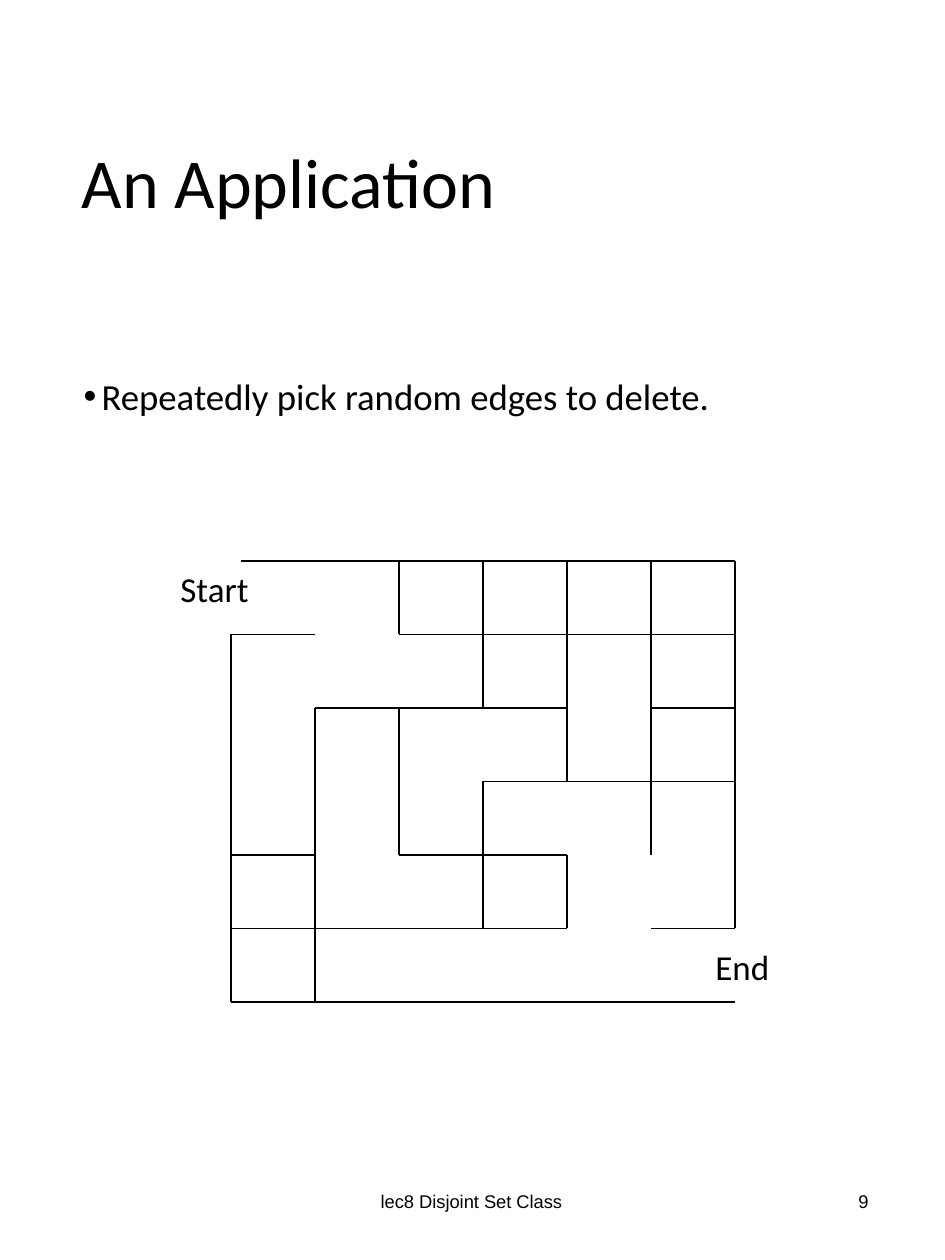
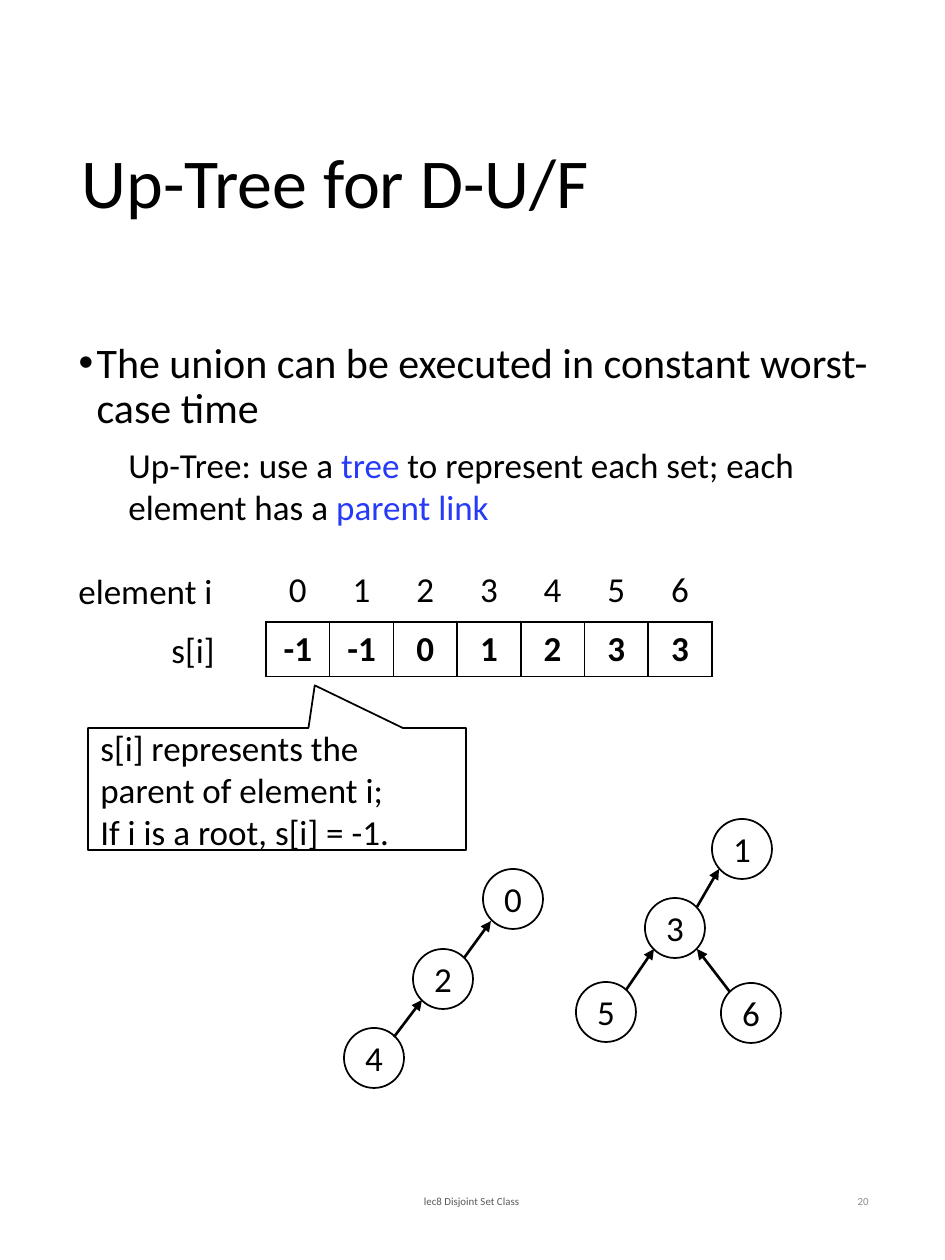
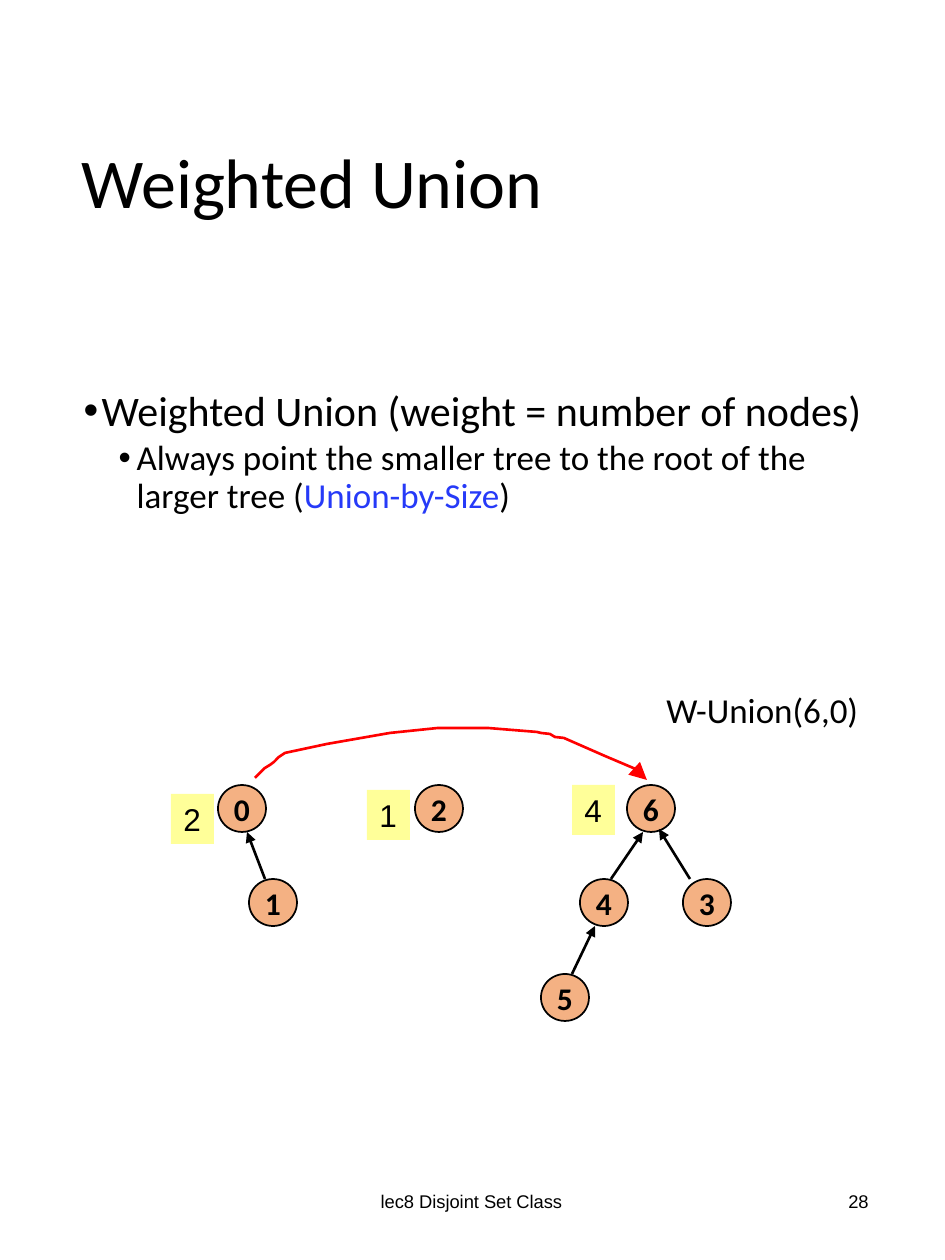
from lxml import etree
from pptx import Presentation
from pptx.dml.color import RGBColor
from pptx.enum import shapes, text
from pptx.oxml import ns
from pptx.util import Emu, Pt

PX = 914400 / 126
BLACK, WHITE, BLUE, RED = "000000", "FFFFFF", "263AF8", "FF0000"
ORANGE, YELLOW = "F4B183", "FFFF99"
TITLE_BOX = (69, 64, 815, 243)
FOOTER_BOX = (312, 1168, 319, 67)
NUMBER_BOX = (668, 1168, 213, 67)
LEFT, CENTER, RIGHT = (text.PP_ALIGN.LEFT, text.PP_ALIGN.CENTER,
                       text.PP_ALIGN.RIGHT)
TOP, MIDDLE = text.MSO_ANCHOR.TOP, text.MSO_ANCHOR.MIDDLE


def px(*lengths):
    return [Emu(round(length * PX)) for length in lengths]


def color(hex_value):
    return RGBColor.from_string(hex_value)


def add_xml(parent, tag, **attributes):
    return etree.SubElement(parent, ns.qn(tag), attributes)


def write(frame, content, size=20, font="Calibri", ink=BLACK, bold=False,
          align=LEFT, anchor=TOP, wrap=True, line=None, before=0, bullet=None,
          level=0):
    """Append one paragraph; content is a string or (string, ink) pairs."""
    paragraph = frame.add_paragraph() if frame.text else frame.paragraphs[0]
    frame.word_wrap = wrap
    frame.vertical_anchor = anchor
    paragraph.level = level
    paragraph.alignment = align
    paragraph.space_before = Pt(before)
    if line:
        paragraph.line_spacing = line
    if bullet is not None:
        properties = paragraph._p.get_or_add_pPr()
        hang = px(18)[0]
        properties.set("marL", str(px(bullet)[0]))
        properties.set("indent", str(-hang))
        add_xml(properties, "a:buFont", typeface="Arial")
        add_xml(properties, "a:buChar", char="•")
    pairs = [(content, ink)] if isinstance(content, str) else content
    for words, run_ink in pairs:
        run = paragraph.add_run()
        run.text = words
        run.font.size, run.font.name, run.font.bold = Pt(size), font, bold
        run.font.color.rgb = color(run_ink)


def add_label(slide, box, content, **style):
    label = slide.shapes.add_textbox(*px(*box))
    write(label.text_frame, content, **style)


def add_block(slide, kind, box, fill, outline=None):
    block = slide.shapes.add_shape(kind, *px(*box))
    block.shadow.inherit = False
    block.fill.solid()
    block.fill.fore_color.rgb = color(fill)
    if outline:
        block.line.color.rgb = color(outline)
        block.line.width = Pt(1)
    else:
        block.line.fill.background()
    return block


def add_arrowhead(shape, size="med"):
    add_xml(shape.line._get_or_add_ln(), "a:tailEnd", type="triangle",
            w=size, len=size)


def add_line(slide, start, end, width, arrow=False):
    connector = slide.shapes.add_connector(
        shapes.MSO_CONNECTOR.STRAIGHT, *px(*start, *end))
    connector.line.color.rgb = color(BLACK)
    connector.line.width = Pt(width)
    if arrow:
        add_arrowhead(connector)
    add_xml(connector._element.spPr, "a:effectLst")


def start_slide(deck, heading, number, body_box, **footer_style):
    """Add the title and footers, and return the slide and its body frame."""
    slide = deck.slides.add_slide(deck.slide_layouts[1])
    title, body = slide.placeholders
    for holder, box in ((title, TITLE_BOX), (body, body_box)):
        holder.left, holder.top, holder.width, holder.height = px(*box)
        holder.text_frame.auto_size = text.MSO_AUTO_SIZE.NONE
    write(title.text_frame, heading, size=40, anchor=MIDDLE, line=0.9)

    style = dict(size=10.5, font="Arial", anchor=MIDDLE) | footer_style
    number_ink = style.pop("number_ink", BLACK)
    add_label(slide, FOOTER_BOX, "lec8 Disjoint Set Class", align=CENTER,
              **style)
    add_label(slide, NUMBER_BOX, number, align=RIGHT,
              **style | {"ink": number_ink})
    return slide, body.text_frame


def draw_maze(slide, box):
    """Draw the remaining walls of a six by six grid; # marks a wall."""
    left, top, width, height = box
    across = [".#####", "#.####", ".###.#", "...###", "#.##..", "####.#",
              ".....#"]
    down = ["..#####", "...####", ".##.###", ".###.##", ".#.##.#", ".#....."]
    walls = [((c, r), (c + 1, r)) for r, row in enumerate(across)
             for c, mark in enumerate(row) if mark == "#"]
    walls += [((c, r), (c, r + 1)) for r, row in enumerate(down)
              for c, mark in enumerate(row) if mark == "#"]
    # Long outer walls and the short overlap beside the entrance
    walls += [((5, 6), (0, 6)), ((0, 6), (0, 1)), ((0.12, 0), (1.12, 0))]

    def corner(column, row):
        return left + column * width / 6, top + row * height / 6

    for start, end in walls:
        add_line(slide, corner(*start), corner(*end), 0.75)


def draw_array(slide, box, values, bold=False, border=None):
    """Draw one table row of values, with or without cell borders."""
    left, top, width, height = box
    table = slide.shapes.add_table(1, len(values), *px(*box)).table
    table.first_row = table.horz_banding = False
    table.rows[0].height = px(height)[0]
    for column, cell, value in zip(table.columns, table.rows[0].cells, values):
        column.width = px(width / len(values))[0]
        properties = cell._tc.get_or_add_tcPr()
        for side in ("L", "R", "T", "B"):
            edge = add_xml(properties, f"a:ln{side}", w=str(Pt(1)))
            if border:
                add_xml(add_xml(edge, "a:solidFill"), "a:srgbClr", val=border)
            else:
                add_xml(edge, "a:noFill")
        cell.fill.background()
        write(cell.text_frame, value, bold=bold, align=CENTER)


def draw_forest(slide, origin, node_size, nodes, links, fill, **style):
    """Draw numbered nodes and the arrows that lead to their parents."""
    left, top = origin
    for number, (x, y) in nodes.items():
        node = add_block(slide, shapes.MSO_SHAPE.OVAL,
                         (left + x, top + y, *node_size), fill, BLACK)
        frame = node.text_frame
        frame.margin_left = frame.margin_right = 0
        write(frame, str(number), align=CENTER, anchor=MIDDLE, wrap=False,
              **style)
    for x1, y1, x2, y2 in links:
        add_line(slide, (left + x1, top + y1), (left + x2, top + y2), 1.5,
                 arrow=True)


def draw_union_arrow(slide, origin):
    points = [(0, 50), (10, 40), (15, 37), (19, 34), (24, 29), (30, 25),
              (72, 16), (135, 5), (183, 0), (233, 0), (282, 4), (286, 5),
              (295, 6), (300, 9), (309, 10), (350, 28), (383, 42), (392, 52)]
    builder = slide.shapes.build_freeform(*points[0], scale=PX)
    builder.add_line_segments(points[1:], close=False)
    arc = builder.convert_to_shape(*px(*origin))
    arc.shadow.inherit = False
    arc.fill.background()
    arc.line.color.rgb = color(RED)
    arc.line.width = Pt(1.5)
    add_arrowhead(arc, "lg")


def application_slide(deck):
    slide, body = start_slide(deck, "An Application", "9",
                              (71, 372, 804, 55))
    write(body, "Repeatedly pick random edges to delete.", size=21, line=0.9,
          bullet=18)
    draw_maze(slide, (231, 561, 504, 441))
    add_label(slide, (168, 561, 107, 55), "Start", wrap=False)
    add_label(slide, (703, 939, 89, 55), "End", wrap=False)


def up_tree_slide(deck):
    slide, body = start_slide(deck, "Up-Tree for D-U/F", "20",
                              (66, 336, 815, 799), size=6.2, font="Calibri",
                              ink="595959", number_ink="8C8C8C")
    write(body, "The union can be executed in constant worst-case time",
          size=24, line=0.9, bullet=18)
    add_label(slide, (116, 437, 790, 97),
              [("Up-Tree: use a ", BLACK), ("tree", BLUE),
               (" to represent each set; each element has a ", BLACK),
               ("parent link", BLUE)])

    # Parent array
    draw_array(slide, (266, 622, 446, 54),
               ["-1", "-1", "0", "1", "2", "3", "3"], bold=True, border=BLACK)
    draw_array(slide, (266, 563, 446, 54), [str(i) for i in range(7)])
    add_label(slide, (66, 563, 184, 55), "element i", wrap=False)
    add_label(slide, (159, 622, 83, 55), "s[i]", wrap=False)

    # Explanation of the array
    callout = add_block(slide, shapes.MSO_SHAPE.RECTANGULAR_CALLOUT,
                        (88, 728, 378, 122), WHITE, BLACK)
    callout.adjustments[0], callout.adjustments[1] = 0.1, -0.85
    for sentence in ("s[i] represents the parent of element i;",
                     "If i is a root, s[i] = -1."):
        write(callout.text_frame, sentence, anchor=MIDDLE)

    draw_forest(slide, (344, 819), (60, 60),
                {0: (139, 50), 1: (368, 0), 2: (69, 130), 3: (301, 79),
                 4: (0, 209), 5: (232, 163), 6: (377, 164)},
                [(50, 218, 78, 181), (120, 139, 147, 102),
                 (353, 88, 375, 50), (282, 171, 310, 130),
                 (386, 173, 353, 130)], WHITE)


def weighted_union_slide(deck):
    slide, body = start_slide(deck, "Weighted Union", "28",
                              (71, 384, 804, 184))
    write(body, "Weighted Union (weight = number of nodes)", size=24,
          line=0.9, bullet=18)
    write(body, [("Always point the smaller tree to the root of the larger "
                  "tree (", BLACK), ("Union-by-Size", BLUE), (")", BLACK)],
          line=0.9, before=2.8, bullet=53, level=1)

    draw_union_arrow(slide, (255, 728))
    add_label(slide, (654, 682, 257, 55), "W-Union(6,0)", wrap=False)

    # Weight of each tree
    for weight, x, y in (("2", 171, 794), ("4", 572, 785), ("1", 367, 790)):
        tag = add_block(slide, shapes.MSO_SHAPE.RECTANGLE, (x, y, 43, 50),
                        YELLOW)
        write(tag.text_frame, weight, size=18, font="Arial", wrap=False)

    draw_forest(slide, (218, 785), (48, 47),
                {0: (0, 0), 1: (31, 94), 2: (197, 0), 3: (465, 94),
                 4: (362, 94), 5: (323, 189), 6: (409, 0)},
                [(47, 94, 29, 47), (393, 94, 425, 47), (472, 94, 441, 44),
                 (354, 189, 377, 141)], ORANGE, size=18, bold=True)


def main():
    deck = Presentation()
    deck.slide_width, deck.slide_height = px(945, 1260)
    application_slide(deck)
    up_tree_slide(deck)
    weighted_union_slide(deck)
    deck.save("out.pptx")


if __name__ == "__main__":
    main()
